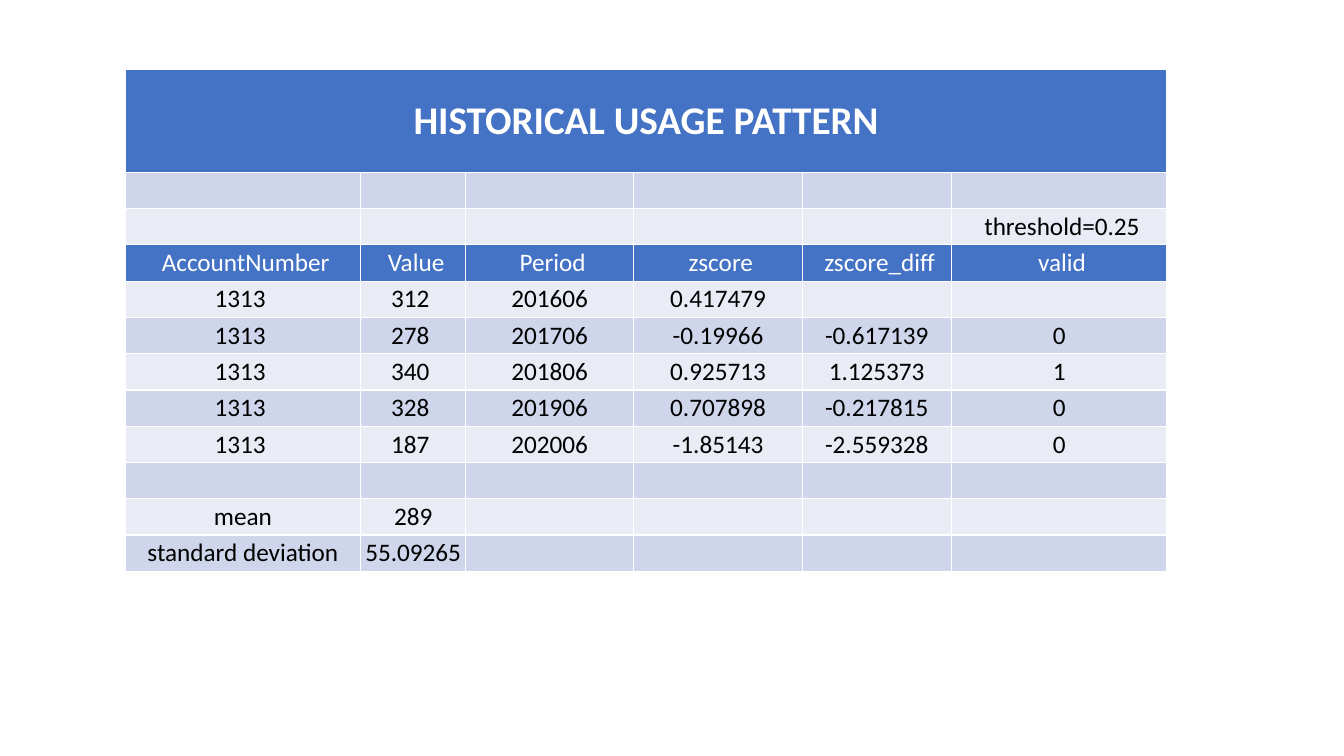
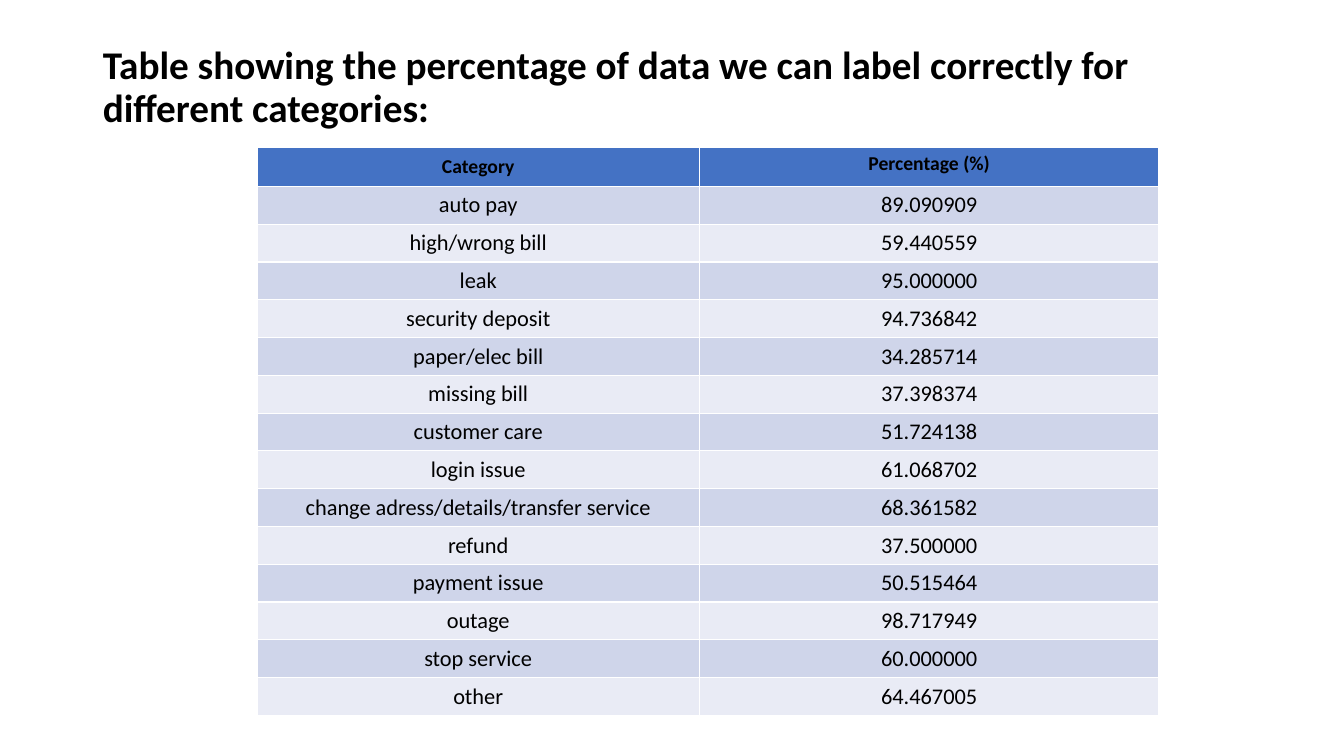
from dataclasses import dataclass

from pptx import Presentation
from pptx.dml.color import RGBColor as RGB
from pptx.enum.text import MSO_ANCHOR as Anchor, MSO_AUTO_SIZE as AutoSize, PP_ALIGN as Align
from pptx.util import Emu, Pt

PX = 4572


def px(n):
    return Emu(n * PX)


@dataclass(frozen=True)
class Theme:
    font: str = "Calibri"
    black: RGB = RGB(0x00, 0x00, 0x00)
    white: RGB = RGB(0xFF, 0xFF, 0xFF)
    head: RGB = RGB(0x44, 0x72, 0xC4)
    bands: tuple = (RGB(0xE9, 0xEB, 0xF5), RGB(0xCF, 0xD5, 0xEA))
    title: Pt = Pt(28)
    large: Pt = Pt(18)
    medium: Pt = Pt(16)
    small: Pt = Pt(14)


T = Theme()


def put(obj, fmt):
    for name, value in fmt.items():
        setattr(obj, name, value)


class Deck:
    def __init__(self, width, height):
        self.prs = Presentation()
        put(self.prs, {"slide_width": px(width), "slide_height": px(height)})
        self.s = None

    def slide(self, layout):
        self.s = self.prs.slides.add_slide(self.prs.slide_layouts.get_by_name(layout))

    def text(self, p, text, size, color=T.black, bold=False, align=Align.CENTER):
        p.alignment = align
        r = p.add_run()
        r.text = text
        put(r.font, {"name": T.font, "size": size, "bold": bold})
        r.font.color.rgb = color

    def title(self, text, left, top, width, height):
        sp = self.s.shapes.title
        put(sp, {"left": px(left), "top": px(top), "width": px(width), "height": px(height)})
        tf = sp.text_frame
        put(tf, {"word_wrap": True, "auto_size": AutoSize.NONE, "vertical_anchor": Anchor.MIDDLE})
        p = tf.paragraphs[0]
        put(p, {"line_spacing": 0.9, "space_before": Pt(0), "space_after": Pt(6)})
        self.text(p, text, T.title, bold=True, align=Align.LEFT)

    def table(self, rows, left, top, cols, head_height, row_height, heads, body, cell_fmt):
        heights = [head_height] + [row_height] * (len(rows) - 1)
        frame = self.s.shapes.add_table(len(rows), len(cols), px(left), px(top),
                                        px(sum(cols)), px(sum(heights)))
        tbl = frame.table
        for col, width in zip(tbl.columns, cols):
            col.width = px(width)
        for i, (row, height, texts) in enumerate(zip(tbl.rows, heights, rows)):
            row.height = px(height)
            for cell, text in zip(row.cells, texts):
                put(cell, {"vertical_anchor": Anchor.MIDDLE, **cell_fmt})
                cell.fill.solid()
                cell.fill.fore_color.rgb = T.head if i in heads else T.bands[i % 2]
                if text:
                    self.text(cell.text_frame.paragraphs[0], text, **heads.get(i, body))
        return tbl

    def save(self):
        self.prs.save("out.pptx")


USAGE = [
    ("HISTORICAL USAGE PATTERN", "", "", "", "", ""),
    ("", "", "", "", "", ""),
    ("", "", "", "", "", " threshold=0.25"),
    (" AccountNumber", " Value", " Period", " zscore", " zscore_diff", " valid"),
    ("1313 ", "312 ", "201606", "0.417479", "", ""),
    ("1313 ", "278 ", "201706", "-0.19966", "-0.617139", "0"),
    ("1313 ", "340 ", "201806", "0.925713", "1.125373", "1"),
    ("1313 ", "328 ", "201906", "0.707898", "-0.217815", "0"),
    ("1313 ", "187 ", "202006", "-1.85143", "-2.559328", "0"),
    ("", "", "", "", "", ""),
    ("mean", "289", "", "", "", ""),
    ("standard deviation", "55.09265", "", "", "", ""),
]

LABELS = [
    ("Category", "Percentage (%)"),
    ("auto pay", "89.090909"),
    ("high/wrong bill", "59.440559"),
    ("leak", "95.000000"),
    ("security deposit", "94.736842"),
    ("paper/elec bill", "34.285714"),
    ("missing bill", "37.398374"),
    ("customer care", "51.724138"),
    ("login issue", "61.068702"),
    ("change adress/details/transfer service", "68.361582"),
    ("refund", "37.500000"),
    ("payment issue", "50.515464"),
    ("outage", "98.717949"),
    ("stop service", "60.000000"),
    ("other", "64.467005"),
]


def usage_slide(deck):
    deck.slide("Blank")
    heads = {
        0: {"size": T.title, "color": T.white, "bold": True},
        3: {"size": T.large, "color": T.white},
    }
    no_margins = {f"margin_{side}": 0 for side in ("left", "top", "right", "bottom")}
    tbl = deck.table(USAGE, 248, 138, (468, 208, 334, 334, 296, 428), 204, 72,
                     heads, {"size": T.large}, no_margins)
    tbl.cell(0, 0).merge(tbl.cell(0, 5))


def labels_slide(deck):
    deck.slide("Title Only")
    deck.title("Table showing the percentage of data we can label correctly for "
               "different categories:", 184, 40, 2086, 270)
    heads = {0: {"size": T.small, "bold": True}}
    tbl = deck.table(LABELS, 510, 292, (878, 912), 78, 75, heads, {"size": T.medium}, {})
    tbl.cell(0, 1).vertical_anchor = Anchor.TOP


def main():
    deck = Deck(2667, 1500)
    usage_slide(deck)
    labels_slide(deck)
    deck.save()


if __name__ == "__main__":
    main()
